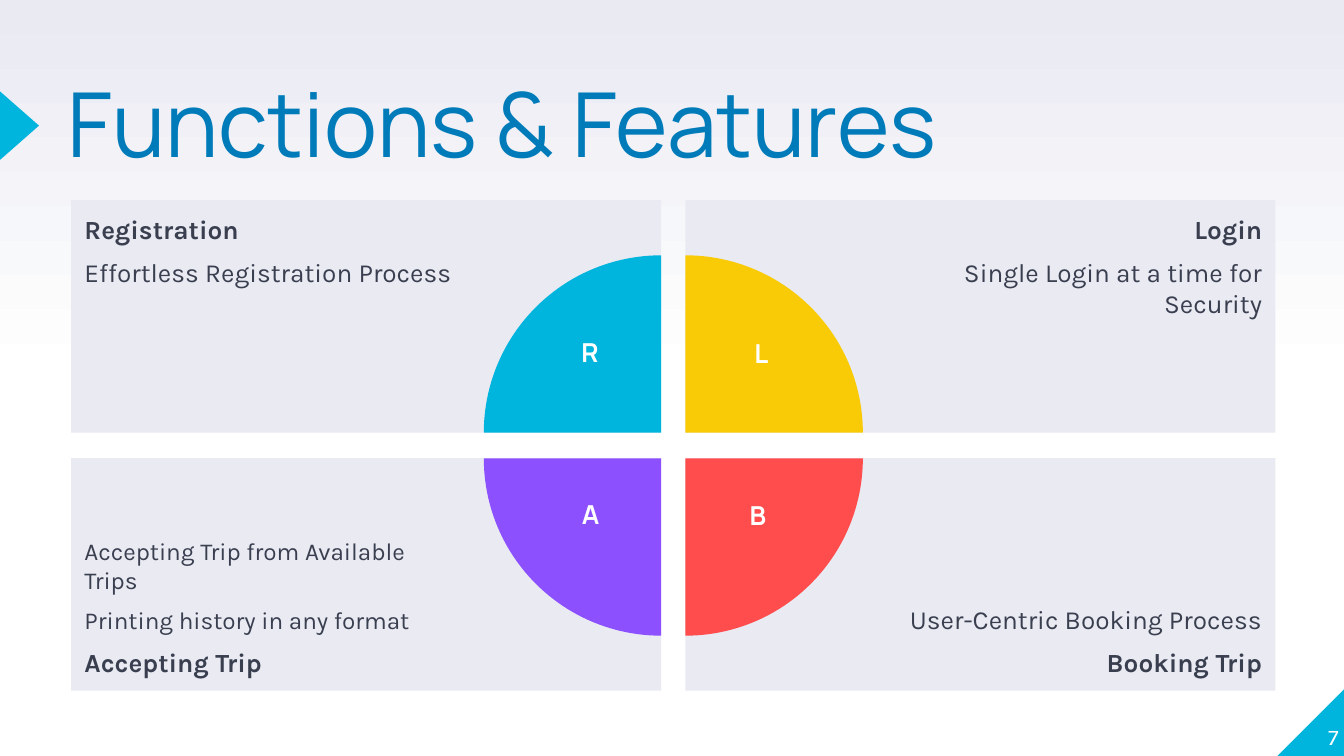
from dataclasses import dataclass

from pptx import Presentation
from pptx.dml.color import RGBColor
from pptx.enum.shapes import MSO_SHAPE
from pptx.enum.text import MSO_ANCHOR, MSO_AUTO_SIZE, PP_ALIGN
from pptx.util import Inches, Pt

RECTANGLE, PIE = MSO_SHAPE.RECTANGLE, MSO_SHAPE.PIE
TRIANGLE, RIGHT_TRIANGLE = MSO_SHAPE.ISOSCELES_TRIANGLE, MSO_SHAPE.RIGHT_TRIANGLE
TOP, BOTTOM = MSO_ANCHOR.TOP, MSO_ANCHOR.BOTTOM
LEFT, CENTER, RIGHT = PP_ALIGN.LEFT, PP_ALIGN.CENTER, PP_ALIGN.RIGHT

WHITE = RGBColor(0xFF, 0xFF, 0xFF)
LAVENDER = RGBColor(0xE9, 0xEA, 0xF2)
INK = RGBColor(0x3A, 0x3F, 0x50)
TITLE_BLUE = RGBColor(0x00, 0x7B, 0xB9)
CYAN = RGBColor(0x00, 0xB5, 0xDD)
YELLOW = RGBColor(0xF9, 0xCB, 0x07)
RED = RGBColor(0xFF, 0x4D, 0x4D)
PURPLE = RGBColor(0x8C, 0x50, 0xFF)

BODY_FONT, HEADING_FONT = "Karla", "Manrope"

PANEL_LEFTS, PANEL_TOPS = (0.53, 5.1), (1.49, 3.41)
PANEL_WIDTH, PANEL_HEIGHT = 4.39, 1.73
PIE_DIAMETER = 2.64
MARGIN, PIE_MARGIN = 0.1, 1.5


@dataclass(frozen=True)
class Box:
    left: float
    top: float
    width: float
    height: float

    def emu(self):
        return [Inches(v) for v in (self.left, self.top, self.width, self.height)]


@dataclass(frozen=True)
class Line:
    text: str
    size: int = 14
    bold: bool = False


@dataclass(frozen=True)
class Feature:
    column: int
    row: int
    lines: tuple[Line, ...]
    color: RGBColor
    rotation: int
    letter: str
    letter_box: Box


FEATURES = (
    Feature(0, 0, (Line("Registration", bold=True),
                   Line("Effortless Registration Process")),
            CYAN, 0, "R", Box(4.2, 2.45, 0.38, 0.49)),
    Feature(1, 0, (Line("Login", bold=True),
                   Line("Single Login at a time for Security")),
            YELLOW, 90, "L", Box(5.31, 2.46, 0.71, 0.48)),
    Feature(0, 1, (Line("Accepting Trip from Available Trips", 13),
                   Line("Printing history in any format", 13),
                   Line("Accepting Trip", bold=True)),
            PURPLE, 270, "A", Box(4.16, 3.66, 0.47, 0.49)),
    Feature(1, 1, (Line("User-Centric Booking Process"),
                   Line("Booking Trip", bold=True)),
            RED, 180, "B", Box(5.44, 3.67, 0.4, 0.48)),
)


def add_filled(slide, kind, box: Box, color: RGBColor, rotation: int = 0):
    shape = slide.shapes.add_shape(kind, *box.emu())
    shape.shadow.inherit = False
    shape.fill.solid()
    shape.fill.fore_color.rgb = color
    shape.line.fill.background()
    shape.rotation = rotation
    return shape


def set_margins(frame, left: float = 0, top: float = 0,
                right: float = 0, bottom: float = 0) -> None:
    frame.margin_left, frame.margin_top = Inches(left), Inches(top)
    frame.margin_right, frame.margin_bottom = Inches(right), Inches(bottom)


def write_line(paragraph, line: Line, font_name: str, color: RGBColor, align) -> None:
    paragraph.alignment = align
    run = paragraph.add_run()
    run.text = line.text
    run.font.name = font_name
    run.font.size = Pt(line.size)
    run.font.bold = line.bold
    run.font.color.rgb = color


def add_label(slide, box: Box, line: Line, font_name: str, align):
    """Add a one-line white text box and return its text frame."""
    frame = slide.shapes.add_textbox(*box.emu()).text_frame
    frame.word_wrap = True
    write_line(frame.paragraphs[0], line, font_name, WHITE, align)
    return frame


def add_panel(slide, feature: Feature) -> None:
    box = Box(PANEL_LEFTS[feature.column], PANEL_TOPS[feature.row],
              PANEL_WIDTH, PANEL_HEIGHT)
    frame = add_filled(slide, RECTANGLE, box, LAVENDER).text_frame
    frame.word_wrap = True
    frame.vertical_anchor = BOTTOM if feature.row else TOP
    left, right = (PIE_MARGIN, MARGIN) if feature.column else (MARGIN, PIE_MARGIN)
    set_margins(frame, left, MARGIN, right, MARGIN)
    for index, line in enumerate(feature.lines):
        paragraph = frame.add_paragraph() if index else frame.paragraphs[0]
        paragraph.space_before = Pt(6 if index else 0)
        write_line(paragraph, line, BODY_FONT, INK, RIGHT if feature.column else LEFT)
    paragraph.space_after = Pt(6)


def add_quarter(slide, feature: Feature) -> None:
    """Draw a quarter pie centred on the inner corner of the feature's panel."""
    center_x = PANEL_LEFTS[feature.column] + (0 if feature.column else PANEL_WIDTH)
    center_y = PANEL_TOPS[feature.row] + (0 if feature.row else PANEL_HEIGHT)
    radius = PIE_DIAMETER / 2
    box = Box(center_x - radius, center_y - radius, PIE_DIAMETER, PIE_DIAMETER)
    quarter = add_filled(slide, PIE, box, feature.color, feature.rotation)
    quarter.adjustments[0] = 108  # 180 degrees
    quarter.adjustments[1] = 162  # 270 degrees


def set_background(slide) -> None:
    fill = slide.background.fill
    fill.gradient()
    fill.gradient_angle = 90
    for stop, position, color in zip(fill.gradient_stops, (0.5, 1), (WHITE, LAVENDER)):
        stop.position = position
        stop.color.rgb = color


def set_title(slide, text: str) -> None:
    title = slide.shapes.title
    title.left, title.top, title.width, title.height = Box(0.5, 0.66, 7.57, 1.18).emu()
    frame = title.text_frame
    frame.auto_size = MSO_AUTO_SIZE.NONE
    frame.vertical_anchor = TOP
    set_margins(frame)
    frame.paragraphs[0].line_spacing = 0.8
    write_line(frame.paragraphs[0], Line(text, 48), HEADING_FONT, TITLE_BLUE, LEFT)


def main() -> None:
    deck = Presentation()
    deck.slide_width = Inches(10)
    deck.slide_height = Inches(10 * 9 / 16)
    slide = deck.slides.add_slide(deck.slide_layouts[5])

    set_background(slide)
    add_filled(slide, RIGHT_TRIANGLE, Box(9.5, 5.12, 0.51, 0.51), CYAN, 270)
    add_filled(slide, TRIANGLE, Box(-0.11, 0.79, 0.51, 0.29), CYAN, 90)
    set_title(slide, "Functions & Features")

    page_number = add_label(slide, Box(9.46, 5.07, 0.5, 0.51), Line("7", 12),
                            BODY_FONT, RIGHT)
    page_number.vertical_anchor = BOTTOM
    set_margins(page_number)

    for feature in FEATURES:
        add_panel(slide, feature)
    for feature in FEATURES:
        add_quarter(slide, feature)
        add_label(slide, feature.letter_box, Line(feature.letter, bold=True),
                  HEADING_FONT, CENTER)

    deck.save("out.pptx")


if __name__ == "__main__":
    main()
